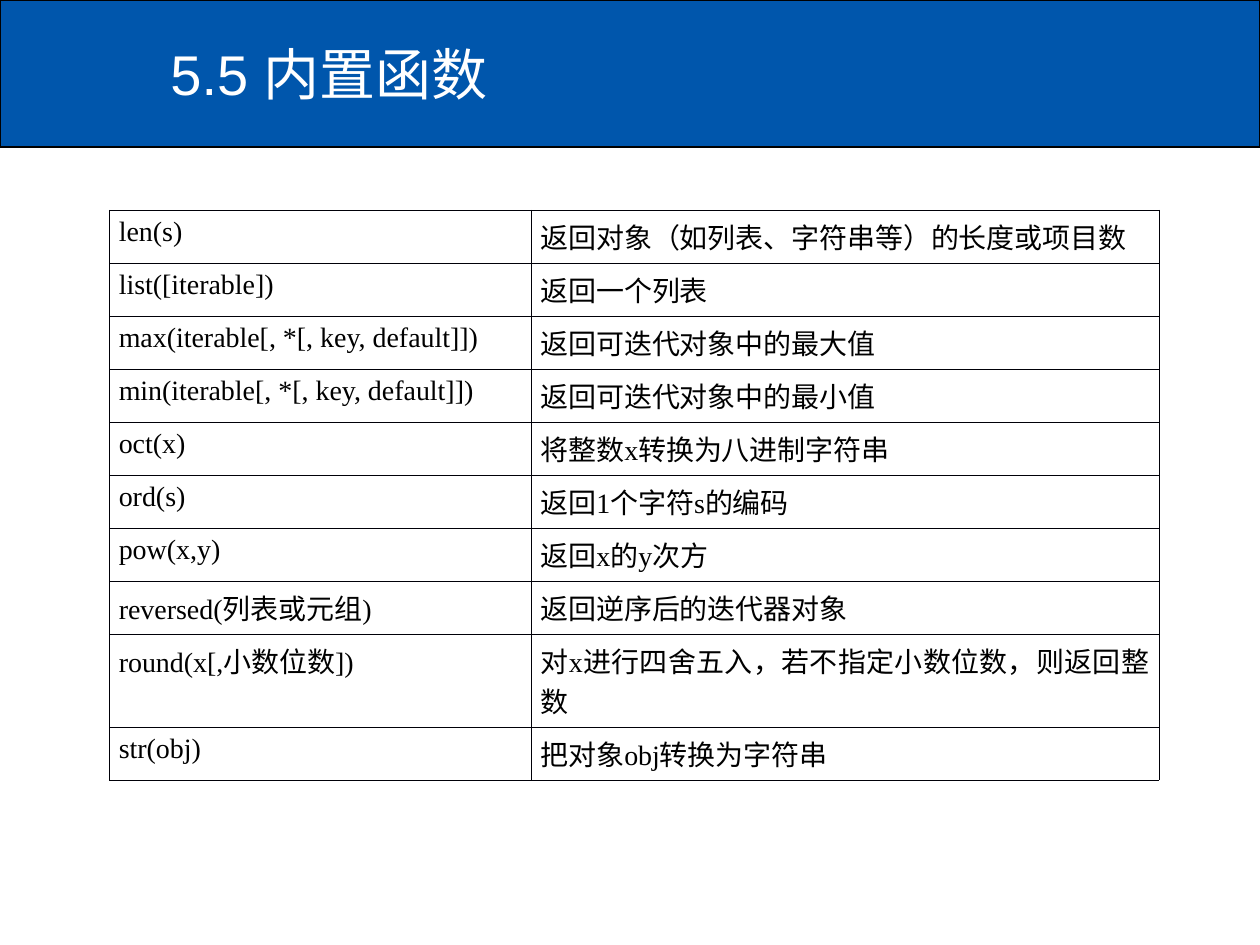
from itertools import groupby

from lxml import etree
from pptx import Presentation
from pptx.dml.color import RGBColor
from pptx.enum.shapes import MSO_SHAPE
from pptx.enum.text import MSO_ANCHOR, PP_ALIGN
from pptx.oxml.ns import qn
from pptx.util import Pt

RECTANGLE = MSO_SHAPE.RECTANGLE
MIDDLE = MSO_ANCHOR.MIDDLE
JUSTIFY = PP_ALIGN.JUSTIFY

COLORS = {"banner": "0056AC", "title": "FFFFFF", "text": "000000", "border": "000008"}
CHINESE = "Noto Sans CJK SC"
LATIN = "Times New Roman"
FUNCTIONS = [
    ("len(s)", "返回对象（如列表、字符串等）的长度或项目数"),
    ("list([iterable])", "返回一个列表"),
    ("max(iterable[, *[, key, default]])", "返回可迭代对象中的最大值"),
    ("min(iterable[, *[, key, default]])", "返回可迭代对象中的最小值"),
    ("oct(x)", "将整数x转换为八进制字符串"),
    ("ord(s)", "返回1个字符s的编码"),
    ("pow(x,y)", "返回x的y次方"),
    ("reversed(列表或元组)", "返回逆序后的迭代器对象"),
    ("round(x[,小数位数])", "对x进行四舍五入，若不指定小数位数，则返回整数"),
    ("str(obj)", "把对象obj转换为字符串"),
]
ROW_HEIGHTS = [30.29] * 8 + [53.14, 30.29]


def set_values(target, values):
    """Set each named attribute of the target."""
    for name, value in values.items():
        setattr(target, name, value)


class SlideWriter:
    """Hold the style and the current slide, and add elements to it."""

    cell_format = {
        "margin_left": Pt(5.4), "margin_right": Pt(5.4),
        "margin_top": Pt(3.6), "margin_bottom": Pt(3.6),
    }

    def __init__(self, deck):
        self.page = deck.slides.add_slide(deck.slide_layouts[6])

    def color(self, name):
        """Return the named colour."""
        return RGBColor.from_string(COLORS[name])

    def banner(self, *place):
        """Add the filled band behind the title."""
        band = self.page.shapes.add_shape(RECTANGLE, *map(Pt, place))
        band.shadow.inherit = False
        band.fill.solid()
        band.fill.fore_color.rgb = self.color("banner")
        band.line.color.rgb = self.color("text")
        band.line.width = Pt(0.75)

    def span(self, para, text, size, font, color):
        """Add one run in a single font."""
        span = para.add_run()
        span.text = text
        set_values(span.font, {"size": Pt(size), "name": font, "bold": False})
        span.font.color.rgb = self.color(color)
        properties = span.font._element
        etree.SubElement(properties, qn("a:ea"), typeface=CHINESE)

    def title(self, text, *place):
        """Add the slide title."""
        box = self.page.shapes.add_textbox(*map(Pt, place))
        set_values(box.text_frame, {"word_wrap": True, "vertical_anchor": MIDDLE})
        self.span(box.text_frame.paragraphs[0], text, 32, "Arial", "title")

    def borders(self, cell):
        """Draw a thin line on every side of a cell."""
        properties = cell._tc.get_or_add_tcPr()
        for index, side in enumerate("LRTB"):
            line = etree.Element(qn(f"a:ln{side}"), w=str(Pt(0.23)))
            fill = etree.SubElement(line, qn("a:solidFill"))
            etree.SubElement(fill, qn("a:srgbClr"), val=COLORS["border"])
            properties.insert(index, line)

    def cell(self, cell, text):
        """Fill a cell, giving Latin and Chinese parts their own fonts."""
        set_values(cell, self.cell_format)
        cell.fill.background()
        self.borders(cell)
        para = cell.text_frame.paragraphs[0]
        para.alignment = JUSTIFY
        for latin, letters in groupby(text, str.isascii):
            self.span(para, "".join(letters), 16, LATIN if latin else CHINESE, "text")

    def table(self, rows, widths, heights, left, top):
        """Add a plain bordered table."""
        place = map(Pt, (left, top, sum(widths), sum(heights)))
        table = self.page.shapes.add_table(len(rows), len(widths), *place).table
        set_values(table, {"first_row": False, "horz_banding": False})
        for column, width in zip(table.columns, widths):
            column.width = Pt(width)
        for row, height, texts in zip(table.rows, heights, rows):
            row.height = Pt(height)
            for cell, text in zip(row.cells, texts):
                self.cell(cell, text)


def main():
    """Build and save the slide."""
    deck = Presentation()
    set_values(deck, {"slide_width": Pt(720), "slide_height": Pt(540)})
    writer = SlideWriter(deck)
    writer.banner(0, 0, 720, 84)
    writer.title("5.5 内置函数", 90.3, 6, 629.7, 72)
    writer.table(FUNCTIONS, [241, 359], ROW_HEIGHTS, 62.5, 120)
    deck.save("out.pptx")


if __name__ == "__main__":
    main()
